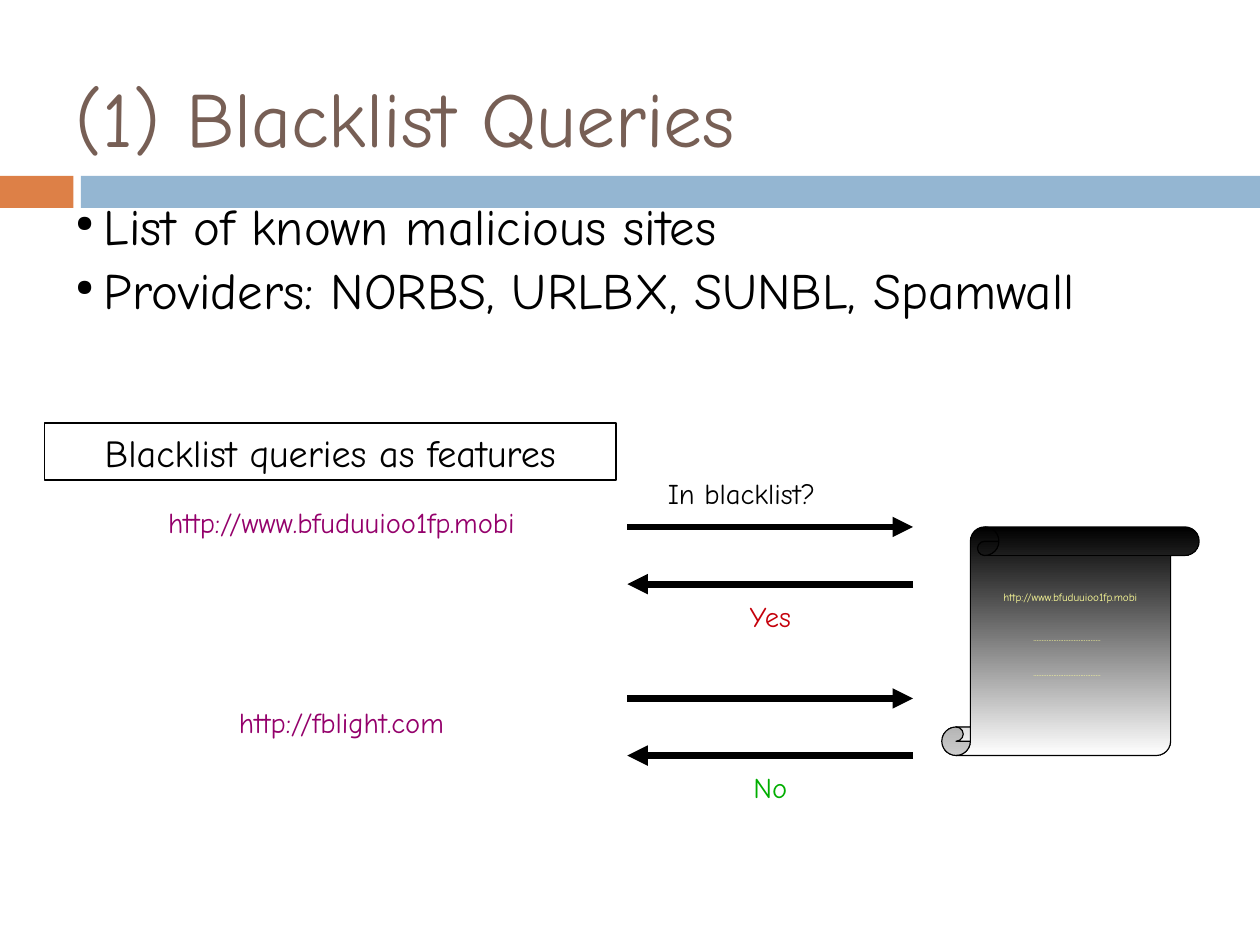
from dataclasses import dataclass

from lxml import etree
from pptx import Presentation
from pptx.dml.color import RGBColor
from pptx.enum.shapes import MSO_CONNECTOR, MSO_SHAPE
from pptx.enum.text import MSO_ANCHOR, PP_ALIGN
from pptx.oxml.ns import qn
from pptx.util import Cm, Pt

RECT = MSO_SHAPE.RECTANGLE
SCROLL = MSO_SHAPE.VERTICAL_SCROLL
LINE = MSO_CONNECTOR.STRAIGHT
TOP, MID = MSO_ANCHOR.TOP, MSO_ANCHOR.MIDDLE
LEFT, CENTER = PP_ALIGN.LEFT, PP_ALIGN.CENTER


@dataclass(frozen=True)
class Theme:
    font: str = "Comic Neue"
    black: str = "000000"
    white: str = "FFFFFF"
    brown: str = "775F55"
    orange: str = "DD8047"
    blue: str = "94B6D2"
    plum: str = "94006B"
    red: str = "C5000B"
    green: str = "00AE00"
    cream: str = "FFFF99"
    title: float = 49
    body: float = 32
    head: float = 24
    label: float = 18
    tiny: float = 7
    thin: float = 0.75
    thick: float = 4.31


THEME = Theme()
SMALL = {"margin_left": Cm(0.25), "margin_right": Cm(0.25),
         "margin_top": Cm(0.13), "margin_bottom": Cm(0.13),
         "word_wrap": True, "vertical_anchor": TOP}
LARGE = {**SMALL, "margin_left": Cm(0.28), "margin_right": Cm(0.28),
         "margin_top": Cm(0.15), "margin_bottom": Cm(0.15)}
LABEL = {"alignment": CENTER, "line_spacing": 1.02}
STEP = 1.27
GAP = 3 * STEP


def put(item, form):
    for name, value in form.items():
        setattr(item, name, value)


def color(code):
    return RGBColor.from_string(code)


def write(shape, lines, size, ink, frame=SMALL, para=LABEL):
    text = shape.text_frame
    put(text, frame)
    text.text = "\n".join(lines)
    for row in text.paragraphs:
        put(row, para)
        for run in row.runs:
            put(run.font, {"name": THEME.font, "size": Pt(size)})
            run.font.color.rgb = color(ink)


def add_text(slide, box, lines, size, ink, **form):
    shape = slide.shapes.add_textbox(*map(Cm, box))
    write(shape, lines, size, ink, **form)
    return shape


def add_box(slide, box, fill=None, edge=None, kind=RECT):
    shape = slide.shapes.add_shape(kind, *map(Cm, box))
    shape.shadow.inherit = False
    if fill:
        shape.fill.solid()
        shape.fill.fore_color.rgb = color(fill)
    else:
        shape.fill.background()
    if edge:
        shape.line.color.rgb = color(edge)
        shape.line.width = Pt(THEME.thin)
    else:
        shape.line.fill.background()
    return shape


def add_scroll(slide, box):
    shape = add_box(slide, box, edge=THEME.black, kind=SCROLL)
    shape.fill.gradient()
    shape.fill.gradient_angle = 270
    stops = shape.fill.gradient_stops
    for stop, place, tone in zip(stops, (0, 1), (THEME.black, THEME.white)):
        stop.position = place
        stop.color.rgb = color(tone)


def add_arrow(slide, start, end, y):
    arrow = slide.shapes.add_connector(LINE, Cm(start), Cm(y), Cm(end), Cm(y))
    arrow.line.color.rgb = color(THEME.black)
    arrow.line.width = Pt(THEME.thick)
    props = arrow.line._get_or_add_ln()
    etree.SubElement(props, qn("a:tailEnd"), type="triangle")
    etree.SubElement(arrow._element.spPr, qn("a:effectLst"))


def add_bullets(slide, box, lines):
    shape = add_text(slide, box, lines, THEME.body, THEME.black, frame=LARGE,
                     para={"alignment": LEFT, "space_before": Pt(2)})
    for row in shape.text_frame.paragraphs:
        props = row._p.get_or_add_pPr()
        props.set("marL", str(Cm(0.63)))
        props.set("indent", str(Cm(-0.63)))
        etree.SubElement(props, qn("a:buSzPct"), val="45000")
        etree.SubElement(props, qn("a:buChar"), char="●")


def add_query(slide, top, site, site_top, reply, ink):
    add_text(slide, (1.24, site_top, 12.7, 1.12), [site],
             THEME.label, THEME.plum)
    add_arrow(slide, 13.94, 20.29, top)
    add_arrow(slide, 20.29, 13.94, top + STEP)
    answer = add_box(slide, (15.85, top + 1.45, 2.54, 1.12), THEME.white)
    write(answer, [reply], THEME.label, ink)


def main():
    deck = Presentation()
    put(deck, {"slide_width": Cm(28), "slide_height": Cm(21)})
    slide = deck.slides.add_slide(deck.slide_layouts[6])

    add_box(slide, (0, 3.91, 1.63, 0.71), THEME.orange)
    add_box(slide, (1.8, 3.91, 26.2, 0.71), THEME.blue)
    add_text(slide, (1.4, 0.97, 25.2, 3.25), ["(1) Blacklist Queries"],
             THEME.title, THEME.brown,
             frame={**LARGE, "vertical_anchor": MID}, para={"alignment": LEFT})
    add_bullets(slide, (1.4, 4.17, 25.2, 13.61),
                ["List of known malicious sites",
                 "Providers: NORBS, URLBX, SUNBL, Spamwall"])

    site = "http://www.bfuduuioo1fp.mobi"
    first = 11.71
    add_scroll(slide, (20.93, first, 5.72, 5.08))
    add_query(slide, first, site, 11.07, "Yes", THEME.red)
    add_query(slide, first + GAP, "http://fblight.com", 15.52,
              "No", THEME.green)

    ask = add_box(slide, (13.94, 10.44, 5.08, 1.12), THEME.white)
    write(ask, ["In blacklist?"], THEME.label, THEME.black)
    head = add_box(slide, (0.99, 9.4, 12.7, 1.27), edge=THEME.black)
    write(head, ["Blacklist queries as features"], THEME.head, THEME.black)

    dots = "." * 40
    for left, top, entry in ((20.29, 12.98, site),
                             (20.22, 13.87, dots),
                             (20.22, 14.66, dots)):
        add_text(slide, (left, top, 6.99, 0.53), [entry],
                 THEME.tiny, THEME.cream)

    deck.save("out.pptx")


if __name__ == "__main__":
    main()
